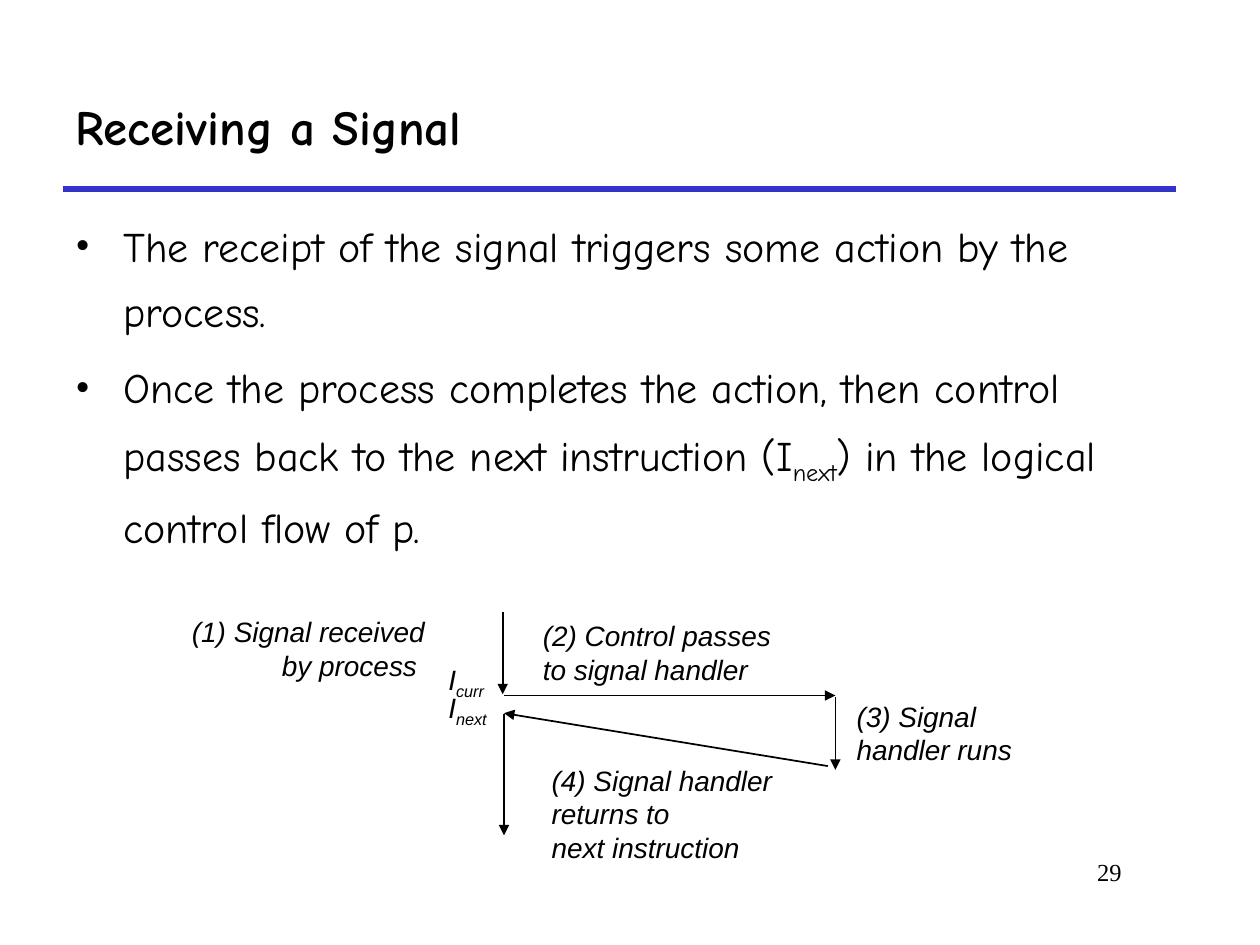
from dataclasses import dataclass

import lxml.etree
import pptx
import pptx.dml.color
import pptx.enum.shapes
import pptx.enum.text
import pptx.oxml.ns
import pptx.util

Inches = pptx.util.Inches
Align = pptx.enum.text.PP_ALIGN
COLORS = {"text": "000000", "rule": "3333CC"}


@dataclass
class TextBlock:
    left: float
    top: float
    width: float
    height: float
    paragraphs: list[str]
    size: int = 16
    font: str = "Arial"
    bold: bool = False
    italic: bool = False
    wrap: bool = True
    grow: bool = False
    bullets: bool = False
    align: Align = Align.LEFT
    anchor: pptx.enum.text.MSO_ANCHOR = pptx.enum.text.MSO_ANCHOR.TOP


@dataclass
class Line:
    start: tuple[float, float]
    end: tuple[float, float]
    color: str = "text"
    width: float = 1
    arrow: bool = True


def diagram_label(left: float, top: float, width: float, height: float,
                  paragraphs: list[str], wrap: bool = False,
                  align: Align = Align.LEFT) -> TextBlock:
    return TextBlock(left, top, width, height, paragraphs, italic=True,
                     wrap=wrap, grow=True, align=align)


def add_child(parent, tag: str, **attributes: str):
    return lxml.etree.SubElement(parent, pptx.oxml.ns.qn(tag), attributes)


def add_bullet(paragraph) -> None:
    properties = paragraph._p.get_or_add_pPr()
    indent = Inches(0.38)
    properties.set("marL", str(indent))
    properties.set("indent", str(-indent))
    bullet_color = add_child(properties, "a:buClr")
    add_child(bullet_color, "a:srgbClr", val=COLORS["text"])
    add_child(properties, "a:buFont", typeface="Times New Roman")
    add_child(properties, "a:buChar", char="•")


def add_runs(paragraph, text: str) -> None:
    for index, part in enumerate(text.split("|")):
        run = paragraph.add_run()
        run.text = part
        if index % 2:
            run._r.get_or_add_rPr().set("baseline", "-25000")


def draw_text(slide, block: TextBlock) -> None:
    shape = slide.shapes.add_textbox(Inches(block.left), Inches(block.top),
                                     Inches(block.width), Inches(block.height))
    frame = shape.text_frame
    frame.word_wrap = block.wrap
    frame.vertical_anchor = block.anchor
    if block.grow:
        frame.auto_size = pptx.enum.text.MSO_AUTO_SIZE.SHAPE_TO_FIT_TEXT
    for index, text in enumerate(block.paragraphs):
        paragraph = frame.add_paragraph() if index else frame.paragraphs[0]
        paragraph.alignment = block.align
        if block.bullets:
            add_bullet(paragraph)
            paragraph.line_spacing = 1.3
            if index:
                paragraph.space_before = pptx.util.Pt(6)
        add_runs(paragraph, text)
        font = paragraph.font
        font.name = block.font
        font.size = pptx.util.Pt(block.size)
        font.bold = block.bold
        font.italic = block.italic
        font.color.rgb = pptx.dml.color.RGBColor.from_string(COLORS["text"])


def draw_line(slide, line: Line) -> None:
    connector = slide.shapes.add_connector(
        pptx.enum.shapes.MSO_CONNECTOR.STRAIGHT,
        *(Inches(value) for value in line.start + line.end))
    connector.line.color.rgb = pptx.dml.color.RGBColor.from_string(COLORS[line.color])
    connector.line.width = pptx.util.Pt(line.width)
    if line.arrow:
        add_child(connector.line._get_or_add_ln(), "a:tailEnd", type="triangle")
    add_child(connector._element.spPr, "a:effectLst")


LINES = [
    Line((0.5, 1.5), (9.33, 1.5), "rule", 3, arrow=False),
    Line((3.99, 4.86), (3.99, 5.51)),
    Line((4, 5.52), (6.63, 5.52)),
    Line((6.63, 5.53), (6.63, 6.11)),
    Line((6.57, 6.08), (4, 5.66)),
    Line((4, 5.67), (4, 6.63)),
]

TEXT_BLOCKS = [
    TextBlock(7.58, 6.75, 1.42, 0.5, ["29"], 14, "Times New Roman", align=Align.RIGHT),
    TextBlock(0.5, 0.5, 8.83, 1, ["Receiving a Signal"], 28, "Comic Neue", bold=True,
              anchor=pptx.enum.text.MSO_ANCHOR.MIDDLE),
    TextBlock(0.5, 1.58, 9, 3, [
        "The receipt of the signal triggers some action by the process.",
        "Once the process completes the action, then control passes back to the "
        "next instruction (I|next|) in the logical control flow of p.",
    ], 24, "Comic Neue", bullets=True),
    diagram_label(4.21, 4.86, 2.07, 0.63, ["(2) Control passes", "to signal handler"]),
    diagram_label(6.7, 5.5, 1.63, 0.63, ["(3) Signal handler runs"], wrap=True),
    diagram_label(4.28, 6.01, 1.95, 0.9,
                  ["(4) Signal handler", "returns to", "next instruction"]),
    diagram_label(3.46, 5.21, 0.55, 0.41, ["I|curr"]),
    diagram_label(3.46, 5.43, 0.55, 0.41, ["I|next"]),
    diagram_label(1.31, 4.83, 2.16, 0.63, ["(1) Signal received by process "],
                  wrap=True, align=Align.RIGHT),
]


def main() -> None:
    presentation = pptx.Presentation()
    presentation.slide_width = Inches(10)
    presentation.slide_height = Inches(7.5)
    slide = presentation.slides.add_slide(presentation.slide_layouts[6])
    for line in LINES:
        draw_line(slide, line)
    for block in TEXT_BLOCKS:
        draw_text(slide, block)
    presentation.save("out.pptx")


if __name__ == "__main__":
    main()
